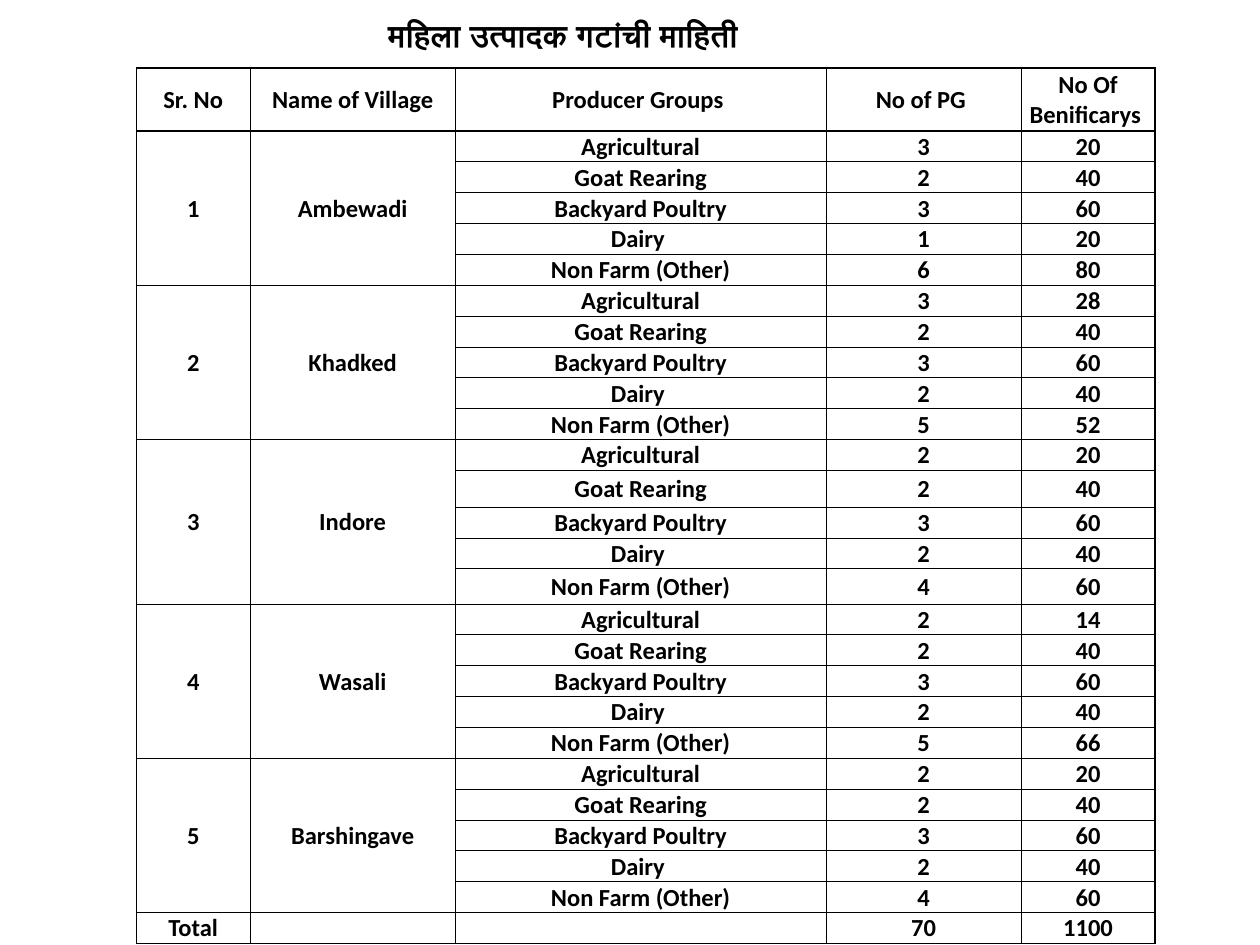
"""Build the slide on women's producer groups by village."""
import lxml.etree
import pptx
import pptx.dml.color
import pptx.enum.text
import pptx.oxml
import pptx.oxml.ns
import pptx.util

Cm, Pt = pptx.util.Cm, pptx.util.Pt
Anchor = pptx.enum.text.MSO_ANCHOR
qn = pptx.oxml.ns.qn

THEME = {"font": "Calibri", "ink": "000000", "paper": "FFFFFF",
         "head": 18, "body": 14, "thin": 0.5, "thick": 1}


def write(frame, text, size=THEME["body"], bold=True):
    para = frame.paragraphs[0]
    para.alignment = pptx.enum.text.PP_ALIGN.CENTER
    if not text:
        lxml.etree.SubElement(para._p, qn("a:endParaRPr"), sz=str(size * 100))
        return
    run = para.add_run()
    run.text = text
    run.font.name = THEME["font"]
    run.font.size = Pt(size)
    run.font.bold = bold
    run.font.color.rgb = pptx.dml.color.RGBColor.from_string(THEME["ink"])


def border(cell, widths):
    for side, width in widths.items():
        line = lxml.etree.SubElement(
            cell._tc.get_or_add_tcPr(), qn(f"a:ln{side}"), w=str(Pt(width)))
        fill = lxml.etree.SubElement(line, qn("a:solidFill"))
        lxml.etree.SubElement(fill, qn("a:srgbClr"), val=THEME["ink"])


heads = ["Sr. No", "Name of Village", "Producer Groups ", "No of PG ",
         "No Of Benificarys "]
groups = ["Agricultural", "Goat Rearing", "Backyard Poultry", "Dairy ",
          "Non Farm (Other)"]
towns = {
    "Ambewadi": ([3, 2, 3, 1, 6], [20, 40, 60, 20, 80]),
    "Khadked": ([3, 2, 3, 2, 5], [28, 40, 60, 40, 52]),
    "Indore": ([2, 2, 3, 2, 4], [20, 40, 60, 40, 60]),
    "Wasali": ([2, 2, 3, 2, 5], [14, 40, 60, 40, 66]),
    "Barshingave": ([2, 2, 3, 2, 4], [20, 40, 60, 40, 60]),
}
rows = [heads]
for num, (town, (counts, people)) in enumerate(towns.items(), 1):
    for item, (group, count, total) in enumerate(zip(groups, counts, people)):
        label = ["", ""] if item else [str(num), town]
        rows.append(label + [group, str(count), str(total)])
rows.append(["Total", "", "", "70", "1100"])

deck = pptx.Presentation()
deck.slide_width, deck.slide_height = Cm(25.4), Cm(19.05)
slide = deck.slides.add_slide(deck.slide_layouts[5])

title = slide.shapes.title
title.left, title.top = Cm(6.99), Cm(0.2)
title.width, title.height = Cm(8.89), Cm(1.02)
write(title.text_frame, "महिला उत्पादक गटांची माहिती ", size=THEME["head"])

table = slide.shapes.add_table(
    len(rows), len(heads), Cm(2.75), Cm(1.37), Cm(20.53), Cm(17.35)).table
table.first_row = table.horz_banding = False
for col, width in zip(table.columns, [2.29, 4.14, 7.47, 3.94, 2.69]):
    col.width = Cm(width)
tall = {0: 1.27, 12: 0.74, 13: 0.61, 14: 0.61, 15: 0.71}
for pos, row in enumerate(table.rows):
    row.height = Cm(tall.get(pos, 0.56))

last, edge = len(rows) - 1, len(heads) - 1
thin, thick = THEME["thin"], THEME["thick"]
for y, row in enumerate(rows):
    for x, text in enumerate(row):
        cell = table.cell(y, x)
        cell.margin_left = cell.margin_right = cell.margin_top = Cm(0.02)
        cell.margin_bottom = 0
        cell.vertical_anchor = Anchor.BOTTOM if y == last else Anchor.MIDDLE
        border(cell, {"L": thick if x == 0 else thin,
                      "R": thick if x == edge else thin,
                      "T": thick if y in (0, 1, last) else thin,
                      "B": thick if y in (0, last - 1, last) else thin})
        cell.fill.solid()
        cell.fill.fore_color.rgb = pptx.dml.color.RGBColor.from_string(
            THEME["paper"])
        write(cell.text_frame, text)

for top in range(1, last, len(groups)):
    for x in range(2):
        table.cell(top, x).merge(table.cell(top + len(groups) - 1, x))

deck.save("out.pptx")
